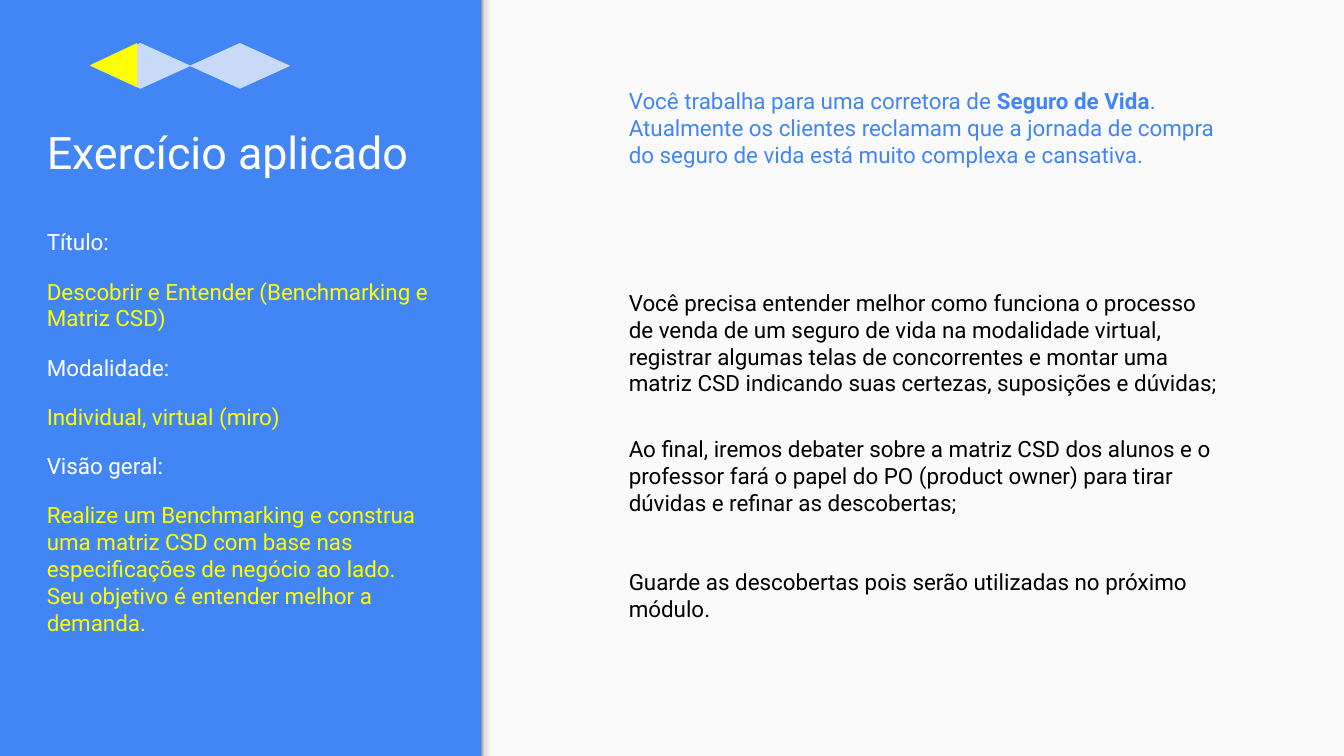
from lxml import etree
from pptx import Presentation
from pptx.dml.color import RGBColor
from pptx.enum.shapes import MSO_SHAPE
from pptx.enum.text import MSO_ANCHOR, MSO_AUTO_SIZE
from pptx.oxml.ns import qn
from pptx.util import Inches, Pt

RECT, DIAMOND, TRIANGLE = MSO_SHAPE.RECTANGLE, MSO_SHAPE.DIAMOND, MSO_SHAPE.ISOSCELES_TRIANGLE
BOTTOM, GROW = MSO_ANCHOR.BOTTOM, MSO_AUTO_SIZE.SHAPE_TO_FIT_TEXT
BLUE, WHITE, YELLOW, BLACK, PALE = "4285F4", "FFFFFF", "FFFF00", "000000", "C9DAF8"
WIDE = 10
HIGH = WIDE * 9 / 16
SPLIT = 3.58

deck = Presentation()
deck.slide_width, deck.slide_height = Inches(WIDE), Inches(HIGH)
slide = deck.slides.add_slide(deck.slide_layouts[6])
rgb = RGBColor.from_string
back = slide.background.fill
back.solid()
back.fore_color.rgb = rgb(BLUE)


def add_form(kind, box, color, turn=0):
    form = slide.shapes.add_shape(kind, *map(Inches, box))
    form.shadow.inherit = False
    form.fill.solid()
    form.fill.fore_color.rgb = rgb(color)
    form.line.fill.background()
    form.rotation = turn
    return form


def add_text(box, paras, size=12):
    """Each paragraph is a (color, runs) pair; every second run is bold."""
    frame = slide.shapes.add_textbox(*map(Inches, box)).text_frame
    frame.word_wrap = True
    frame.margin_left = frame.margin_right = Inches(0.1)
    frame.margin_top = frame.margin_bottom = Inches(0.1)
    for i, (color, runs) in enumerate(paras):
        para = frame.paragraphs[0] if i == 0 else frame.add_paragraph()
        if i:
            para.space_before = Pt(12)
        para.font.name, para.font.size = "Roboto", Pt(size)
        para.font.color.rgb = rgb(color)
        for j, text in enumerate(runs):
            run = para.add_run()
            run.text = text
            if j % 2:
                run.font.bold = True
    return frame


# Light panel and the soft edge along its left side
add_form(RECT, (SPLIT, 0, WIDE - SPLIT, HIGH), "FAFAFA")
thick = 0.12
mid = SPLIT + thick / 2
edge = add_form(RECT, (mid - HIGH / 2, (HIGH - thick) / 2, HIGH, thick), WHITE, 270)
edge.fill.gradient()
edge.fill.gradient_angle = 90
stops = edge.element.spPr.find(".//" + qn("a:gsLst"))
for stop in list(stops):
    stops.remove(stop)
for share, color in ((0, "F9F9F9"), (36, "F9F9F9"), (80, "DEDEDE"), (100, "999999")):
    stop = etree.SubElement(stops, qn("a:gs"), pos=str(share * 1000))
    etree.SubElement(stop, qn("a:srgbClr"), val=color)

# Left column
left, width = 0.25, 3.07
title = add_text((left, 0.39, width, 1.04), [(WHITE, ["Exercício aplicado"])], 24)
title.vertical_anchor = BOTTOM
facts = (
    ("Título:", "Descobrir e Entender (Benchmarking e Matriz CSD)"),
    ("Modalidade:", "Individual, virtual (miro)"),
    ("Visão geral:", "Realize um Benchmarking e construa uma matriz CSD com base nas "
     "especificações de negócio ao lado. Seu objetivo é entender melhor a demanda."),
)
paras = []
for label, value in facts:
    paras += [(WHITE, [label]), (YELLOW, [value])]
add_text((left, 1.6, width, 3.46), paras)

# Right column: top, height, color, runs
notes = (
    (0.55, 0.81, BLUE, [
        "Você trabalha para uma corretora de ", "Seguro de Vida",
        ". Atualmente os clientes reclamam que a jornada de compra do seguro "
        "de vida está muito complexa e cansativa."]),
    (2.05, 1.01, BLACK, [
        "Você precisa entender melhor como funciona o processo de venda de um "
        "seguro de vida na modalidade virtual, registrar algumas telas de "
        "concorrentes e montar uma matriz CSD indicando suas certezas, "
        "suposições e dúvidas;"]),
    (3.14, 0.81, BLACK, [
        "Ao final, iremos debater sobre a matriz CSD dos alunos e o professor "
        "fará o papel do PO (product owner) para tirar dúvidas e refinar as "
        "descobertas;"]),
    (4.13, 0.61, BLACK, [
        "Guarde as descobertas pois serão utilizadas no próximo módulo."]),
)
for top, height, color, runs in notes:
    add_text((4.58, top, 4.62, height), [(color, runs)]).auto_size = GROW

# Double diamond with its first half lit
for i in range(2):
    add_form(DIAMOND, (0.67 + i * 0.74, 0.32, 0.75, 0.34), PALE)
add_form(TRIANGLE, (0.68, 0.31, 0.33, 0.35), YELLOW, 270)

deck.save("out.pptx")
